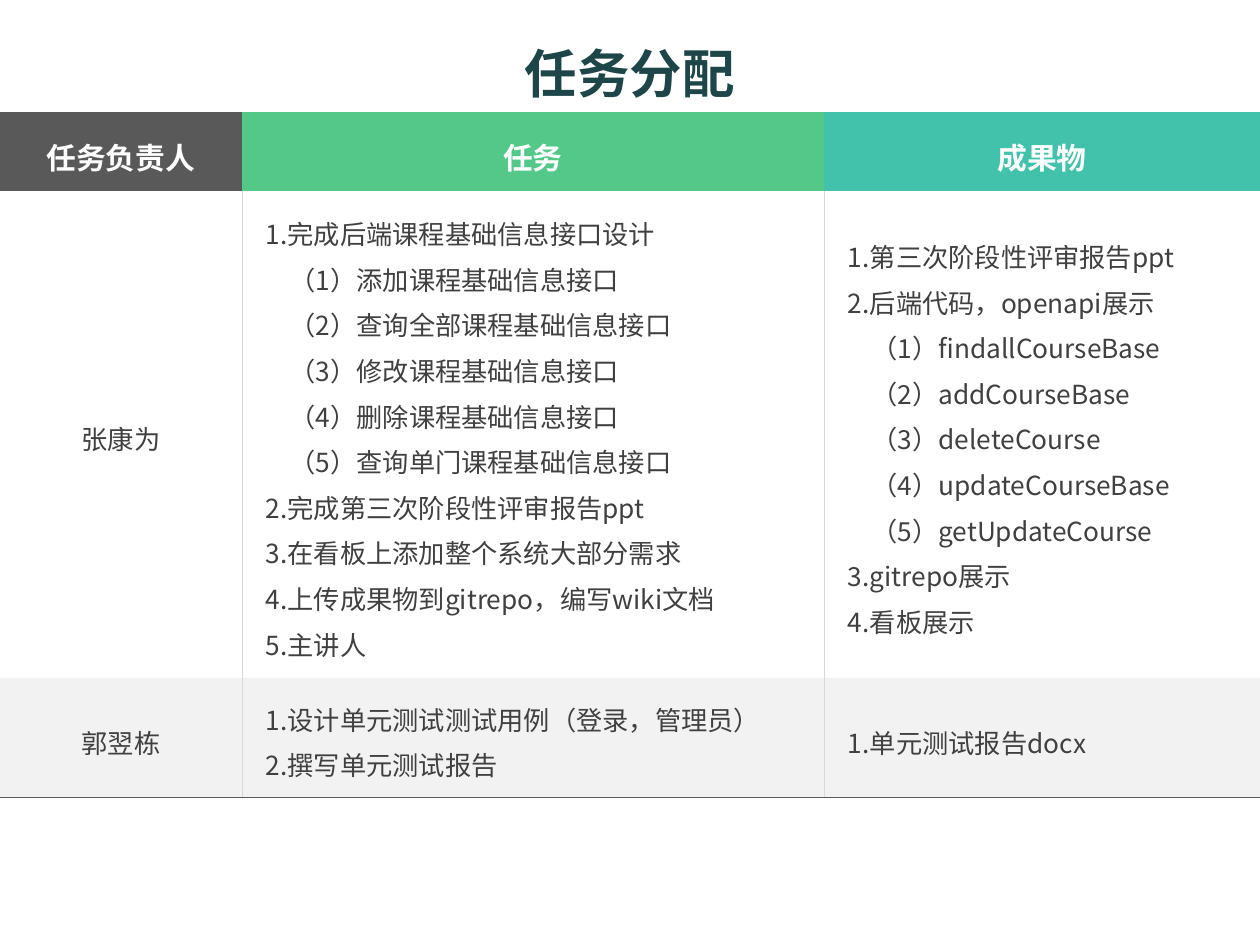
from lxml import etree
from pptx import Presentation
from pptx.dml.color import RGBColor
from pptx.enum.text import MSO_ANCHOR, PP_ALIGN
from pptx.oxml.ns import qn
from pptx.util import Pt

CENTER, LEFT = PP_ALIGN.CENTER, PP_ALIGN.LEFT
MIDDLE = MSO_ANCHOR.MIDDLE
FONT = "Noto Sans CJK SC"
TITLE = RGBColor(0x1E, 0x46, 0x49)
DARK = RGBColor(0x59, 0x59, 0x59)
GREEN = RGBColor(0x54, 0xC8, 0x88)
TEAL = RGBColor(0x42, 0xC2, 0xAA)
WHITE = RGBColor(0xFF, 0xFF, 0xFF)
PALE = RGBColor(0xF2, 0xF2, 0xF2)
TEXT = RGBColor(0x40, 0x40, 0x40)
RULE = RGBColor(0xD9, 0xD9, 0xD9)

COL_WIDTHS = [138.24, 332.64, 249.12]
ROW_HEIGHTS = [45.4, 278, 68.4]
ROW_FILLS = [[DARK, GREEN, TEAL], [WHITE] * 3, [PALE] * 3]
RULE_WIDTHS = [0.45, 0.23]
SUB_INDENT = Pt(13.5)

ROWS = [
    [["任务负责人"], ["任务"], ["成果物"]],
    [
        ["张康为"],
        [
            "1.完成后端课程基础信息接口设计",
            "（1）添加课程基础信息接口",
            "（2）查询全部课程基础信息接口",
            "（3）修改课程基础信息接口",
            "（4）删除课程基础信息接口",
            "（5）查询单门课程基础信息接口",
            "2.完成第三次阶段性评审报告ppt",
            "3.在看板上添加整个系统大部分需求",
            "4.上传成果物到gitrepo，编写wiki文档",
            "5.主讲人",
        ],
        [
            "1.第三次阶段性评审报告ppt",
            "2.后端代码，openapi展示",
            "（1）findallCourseBase",
            "（2）addCourseBase",
            "（3）deleteCourse",
            "（4）updateCourseBase",
            "（5）getUpdateCourse",
            "3.gitrepo展示",
            "4.看板展示",
        ],
    ],
    [
        ["郭翌栋"],
        ["1.设计单元测试测试用例（登录，管理员）", "2.撰写单元测试报告"],
        ["1.单元测试报告docx"],
    ],
]


def style_text(p, size, color, bold):
    for r in p.runs:
        r.font.size = Pt(size)
        r.font.bold = bold
        r.font.color.rgb = color
        r.font.name = FONT
        ea = etree.SubElement(r.font._element, qn("a:ea"))
        ea.set("typeface", FONT)


def set_border(cell, side, color=None, width=0):
    ln = etree.SubElement(cell._tc.get_or_add_tcPr(), qn("a:ln" + side))
    ln.set("w", str(Pt(width)))
    if color is None:
        etree.SubElement(ln, qn("a:noFill"))
    else:
        fill = etree.SubElement(ln, qn("a:solidFill"))
        etree.SubElement(fill, qn("a:srgbClr")).set("val", str(color))


prs = Presentation()
prs.slide_width, prs.slide_height = Pt(720), Pt(540)
s = prs.slides.add_slide(prs.slide_layouts[5])

title = s.shapes.title
title.left, title.top, title.width, title.height = Pt(36), Pt(18), Pt(648), Pt(46.8)
tf = title.text_frame
tf.text = "任务分配"
tf.vertical_anchor = MIDDLE
tf.paragraphs[0].alignment = CENTER
style_text(tf.paragraphs[0], 30, TITLE, True)

table = s.shapes.add_table(
    len(ROWS), len(COL_WIDTHS), 0, Pt(64), Pt(720), Pt(sum(ROW_HEIGHTS))
).table
for column, width in zip(table.columns, COL_WIDTHS):
    column.width = Pt(width)
for row, height in zip(table.rows, ROW_HEIGHTS):
    row.height = Pt(height)

for i, row in enumerate(ROWS):
    header = i == 0
    last = i == len(ROWS) - 1
    for j, lines in enumerate(row):
        cell = table.cell(i, j)
        borders = {}
        if not header and j > 0:
            borders["L"] = (RULE, RULE_WIDTHS[j - 1])
        if not header and j < len(RULE_WIDTHS):
            borders["R"] = (RULE, RULE_WIDTHS[j])
        if last:
            borders["B"] = (DARK, 0.75)
        for side in "LRTB":
            set_border(cell, side, *borders.get(side, ()))
        cell.fill.solid()
        cell.fill.fore_color.rgb = ROW_FILLS[i][j]
        cell.vertical_anchor = MIDDLE
        cell.margin_left = cell.margin_right = Pt(13.7)
        cell.margin_top = cell.margin_bottom = Pt(3.6)

        cell.text_frame.text = "\n".join(lines)
        for p in cell.text_frame.paragraphs:
            p.alignment = CENTER if header or j == 0 else LEFT
            p.line_spacing = 1.2
            if p.text.startswith("（"):
                p._p.get_or_add_pPr().set("marL", str(SUB_INDENT))
            style_text(p, 17 if header else 15, WHITE if header else TEXT, header)

prs.save("out.pptx")
